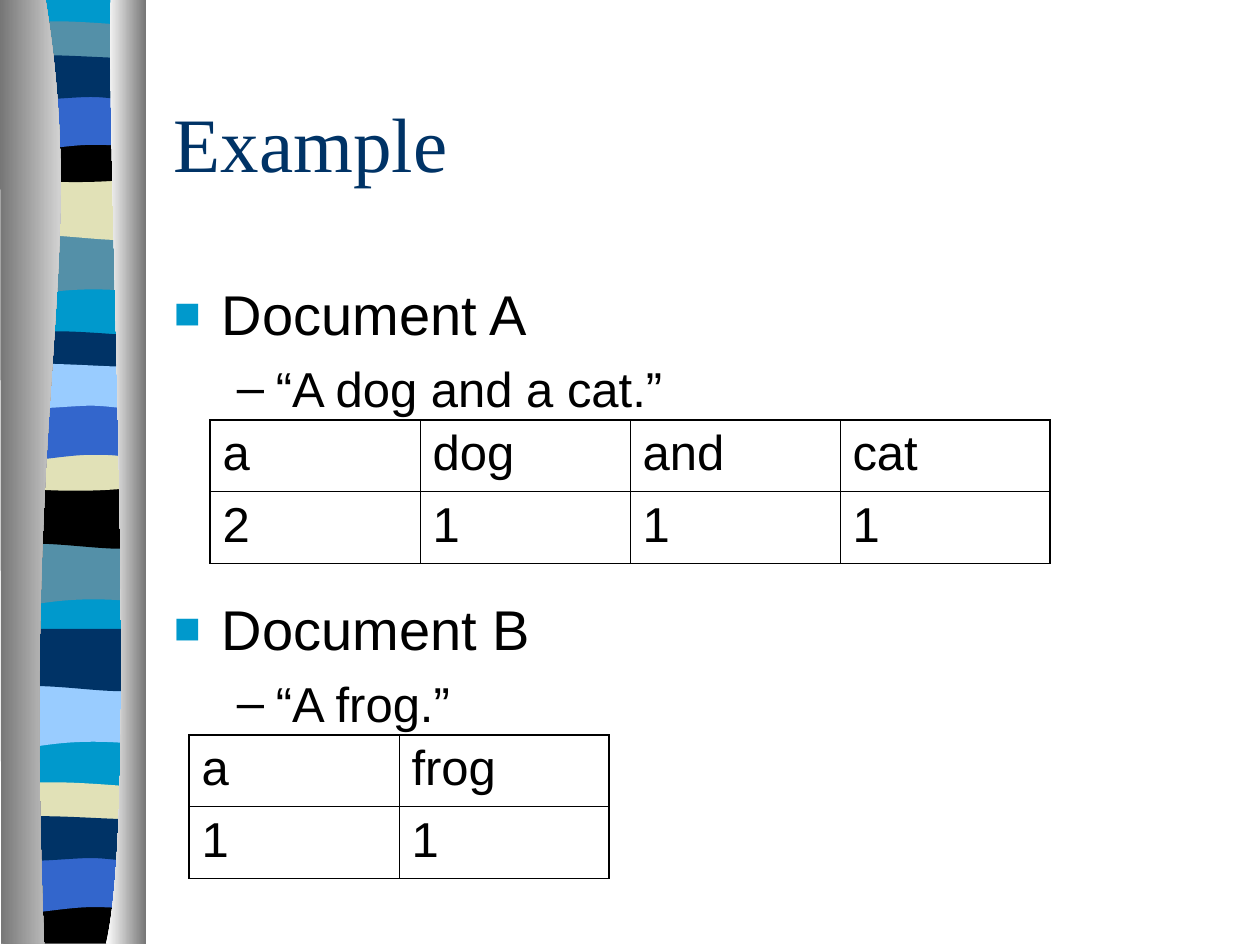
from lxml.etree import SubElement
from pptx import Presentation
from pptx.dml.color import RGBColor
from pptx.enum.text import MSO_ANCHOR, MSO_AUTO_SIZE, PP_ALIGN
from pptx.oxml.ns import qn
from pptx.util import Inches, Pt

NAVY, BLUE, TEAL, SKY = "003366", "3366CC", "5490A8", "99CCFF"
SAND, CYAN, BLACK, GREY, WHITE = "E1E1B7", "0099CC", "000000", "767676", "FFFFFF"

LEFT = 0.06
WAVES = {
    "sag": [(1.08, 0), (1.08, 0.47), (0.33, 0.39, 0.18, 0.55, 0, 0.47), (0, 0)],
    "dip": [(1.08, 0), (1.08, 0.47), (0.9, 0.55, 0.33, 0.41, 0, 0.47), (0, 0)],
    "lens": [(1.08, 0.05), (1.08, 0.29), (0.9, 0.33, 0.18, 0.33, 0, 0.29), (0, 0.05),
             (0.06, 0, 0.23, 0.01, 0.41, 0.01), (0.59, 0.01, 0.94, 0.04, 1.08, 0.05)],
    "bowl": [(1.08, 0), (1.08, 0.32), (0.9, 0.38, 0.18, 0.38, 0, 0.32), (0, 0),
             (0.66, 0.05, 0.85, 0, 1.08, 0)],
    "arch": [(1.08, 0), (1.08, 0.47), (0.91, 0.41, 0.84, 0.41, 0.66, 0.41),
             (0.48, 0.41, 0.16, 0.47, 0, 0.47), (0, 0)],
    "roll": [(1.08, 0.05), (1.08, 0.36), (1.01, 0.41, 0.84, 0.36, 0.66, 0.36),
             (0.48, 0.36, 0.11, 0.41, 0, 0.36), (0, 0.05),
             (0.15, 0, 0.73, 0.05, 0.91, 0.05), (1.09, 0.05, 1.04, 0.05, 1.08, 0.05)],
    "foot": [(1.08, 0), (1.08, 0.37), (0, 0.37), (0, 0), (0.66, 0.05, 0.85, 0, 1.08, 0)],
    "back": [(1.08, 0), (1.08, 7.48), (0, 7.48), (0, 0)],
}
BANDS = [
    ("back", -0.01, CYAN),
    ("sag", 1.85, TEAL), ("dip", 1.41, SAND), ("lens", 0.16, TEAL),
    ("bowl", 1.08, BLACK), ("arch", 0.74, BLUE), ("roll", 0.41, NAVY),
    ("sag", 4.31, TEAL), ("dip", 3.86, BLACK), ("lens", 2.62, NAVY),
    ("bowl", 3.53, SAND), ("arch", 3.2, BLUE), ("roll", 2.86, SKY),
    ("sag", 5.44, SKY), ("dip", 4.99, NAVY), ("lens", 6.2, SAND),
    ("foot", 7.12, BLACK), ("arch", 6.79, BLUE), ("roll", 6.45, NAVY),
]
SIDES = [
    ([(0.36, -0.01), (0.71, 2.16, 0.17, 2.96, 0.35, 7.49), (0.01, 7.49), (0, -0.01)],
     (GREY, WHITE)),
    ([(0.88, -0.01), (0.84, 1.25, 1.11, 6.46, 0.84, 7.49), (1.16, 7.49), (1.16, 0)],
     (WHITE, GREY)),
]

HEAD = dict(size=32, before=7.7, inset=0.38, hang=0.38, bullet="■", tint=CYAN, scale=80)
ITEM = dict(size=28, before=6.7, inset=0.81, hang=0.31, bullet="–", level=1)
LINES = [
    ("Document A", HEAD),
    ("“A dog and a cat.”", ITEM),
    ("Document B", HEAD | {"before": 101.2}),
    ("“A frog.”", ITEM),
]
CELL_W, CELL_H = 10 / 6, 0.57
TABLES = [
    (CELL_W, 2 * CELL_W, [["a", "dog", "and", "cat"], ["2", "1", "1", "1"]]),
    (1.5, 3.5 * CELL_W, [["a", "frog"], ["1", "1"]]),
]
THICK, THIN = 1.08, 0.45


def rgb(code):
    return RGBColor.from_string(code)


def put(par, text, size=28, font="Arial", color=BLACK, before=0, inset=0, hang=0,
        bullet=None, tint=BLACK, scale=100, level=0):
    par.alignment = PP_ALIGN.LEFT
    par.level = level
    par.space_before = Pt(before)
    run = par.add_run()
    run.text = text
    run.font.size, run.font.name = Pt(size), font
    run.font.color.rgb = rgb(color)
    if bullet:
        props = par._p.get_or_add_pPr()
        props.set("marL", str(Inches(inset)))
        props.set("indent", str(-Inches(hang)))
        SubElement(SubElement(props, qn("a:buClr")), qn("a:srgbClr"), val=tint)
        SubElement(props, qn("a:buSzPct"), val=str(scale * 1000))
        SubElement(props, qn("a:buFont"), typeface=font)
        SubElement(props, qn("a:buChar"), char=bullet)


def draw(group, steps, x=0, y=0):
    dots = [(Inches(x + a), Inches(y + b))
            for step in steps for a, b in zip(step[::2], step[1::2])]
    pen = group.shapes.build_freeform(*dots[0])
    pen.add_line_segments(dots[1:], close=True)
    shape = pen.convert_to_shape()
    lines = iter(list(shape._element.iter(qn("a:lnTo"))))
    for step in steps[1:]:
        first = next(lines)
        if len(step) == 6:
            first.tag = qn("a:cubicBezTo")
            for line in (next(lines), next(lines)):
                first.append(line[0])
                line.getparent().remove(line)
    shape.shadow.inherit = False
    shape.line.fill.background()
    return shape


def border(cell, row, col, rows, cols):
    edges = {"L": col == 0, "R": col == cols - 1, "T": row == 0, "B": row == rows - 1}
    props = cell._tc.get_or_add_tcPr()
    for side, outer in edges.items():
        line = SubElement(props, qn("a:ln" + side), w=str(Pt(THICK if outer else THIN)))
        SubElement(SubElement(line, qn("a:solidFill")), qn("a:srgbClr"), val=BLACK)


def grid(slide, x, y, data):
    rows, cols = len(data), len(data[0])
    frame = slide.shapes.add_table(rows, cols, Inches(x), Inches(y),
                                   Inches(cols * CELL_W), Inches(rows * CELL_H))
    table = frame.table
    table.first_row = table.horz_banding = False
    for r, texts in enumerate(data):
        table.rows[r].height = Inches(CELL_H)
        for c, text in enumerate(texts):
            table.columns[c].width = Inches(CELL_W)
            cell = table.cell(r, c)
            border(cell, r, c, rows, cols)
            cell.fill.background()
            put(cell.text_frame.paragraphs[0], text, before=7)


def place(shape, x, y, w, h):
    shape.left, shape.top, shape.width, shape.height = map(Inches, (x, y, w, h))
    frame = shape.text_frame
    frame.word_wrap, frame.auto_size = True, MSO_AUTO_SIZE.NONE
    return frame


def main():
    deck = Presentation()
    deck.slide_width, deck.slide_height = Inches(10), Inches(7.5)
    slide = deck.slides.add_slide(deck.slide_layouts[1])

    title = place(slide.shapes.title, 1.28, 0.5, 8.5, 1.25)
    title.vertical_anchor = MSO_ANCHOR.MIDDLE
    put(title.paragraphs[0], "Example", size=44, font="Times New Roman", color=NAVY)

    body = place(slide.placeholders[1], 1.28, 2.17, 8.5, 4.5)
    for i, (text, style) in enumerate(LINES):
        put(body.add_paragraph() if i else body.paragraphs[0], text, **style)

    group = slide.shapes.add_group_shape()
    for wave, top, color in BANDS:
        shape = draw(group, WAVES[wave], LEFT, top)
        shape.fill.solid()
        shape.fill.fore_color.rgb = rgb(color)
    for steps, colors in SIDES:
        fill = draw(group, steps).fill
        fill.gradient()
        fill.gradient_angle = 0
        for stop, color, spot in zip(fill.gradient_stops, colors, (0, 1)):
            stop.color.rgb, stop.position = rgb(color), spot

    for x, y, data in TABLES:
        grid(slide, x, y, data)
    deck.save("out.pptx")


if __name__ == "__main__":
    main()
